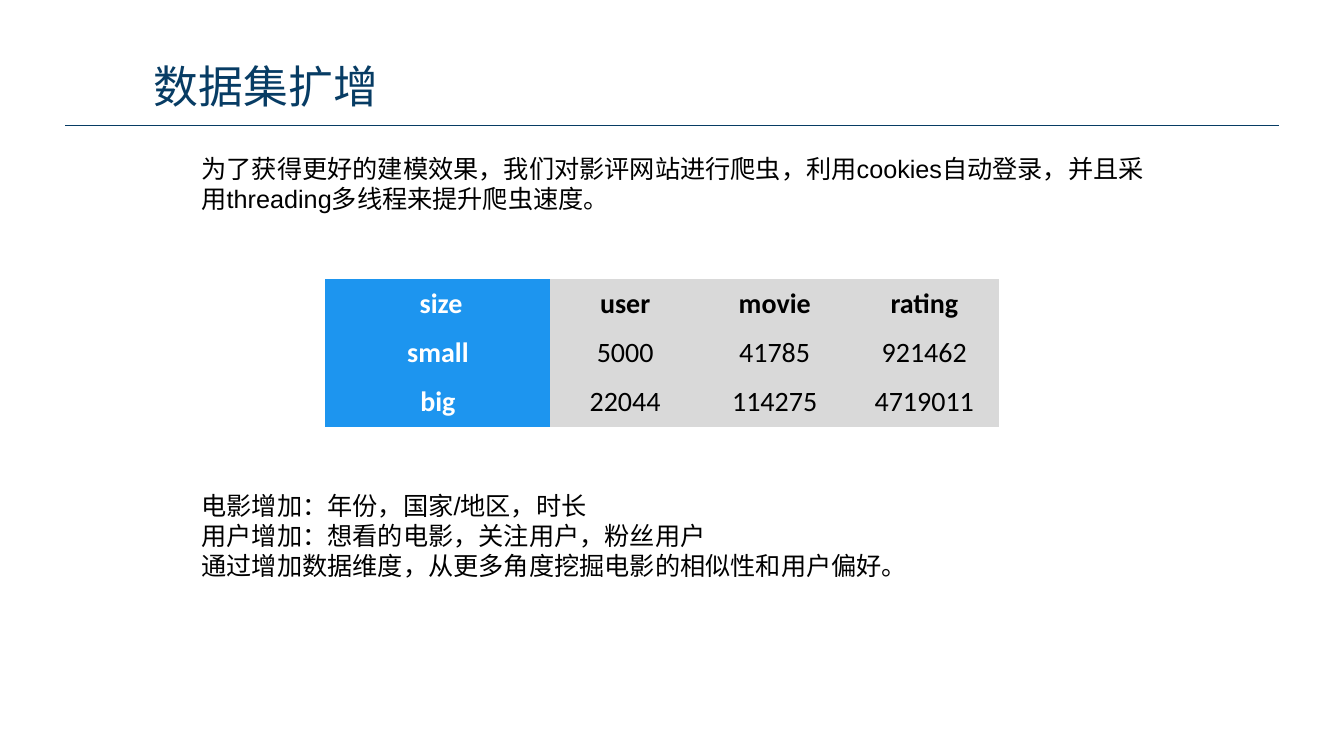
"""Build the slide on enlarging the data set."""
from lxml import etree
from pptx import Presentation
from pptx import util as u
from pptx.dml.color import RGBColor
from pptx.enum import shapes, text
from pptx.oxml.ns import qn

HUES = {"navy": "073C64", "blue": "1D95EF", "gray": "D9D9D9",
        "black": "000000", "white": "FFFFFF"}
PLAIN = "{2D5ABB26-0587-4C30-8999-92F81FD0307C}"


def add_run(para, words, face, size, hue, bold=False):
    run = para.add_run()
    run.text = words
    run.font.name = face
    run.font.size = u.Pt(size)
    run.font.bold = bold
    run.font.color.rgb = RGBColor.from_string(HUES[hue])


prs = Presentation()
prs.slide_width, prs.slide_height = u.Cm(33.87), u.Cm(19.05)
slide = prs.slides.add_slide(prs.slide_layouts[6])

rule = slide.shapes.add_connector(
    shapes.MSO_CONNECTOR.STRAIGHT, u.Cm(1.65), u.Cm(3.15), u.Cm(32.23), u.Cm(3.15))
rule.line.color.rgb = RGBColor.from_string(HUES["navy"])
rule.line.width = u.Pt(0.5)
etree.SubElement(rule._element.spPr, qn("a:effectLst"))

boxes = [
    ((3.63, 1.35, 15.57, 1.63), "Noto Sans CJK JP", 32, "navy", ["数据集扩增"]),
    ((4.83, 3.73, 24.69, 2.57), "Arial", 18, "black", [
        "为了获得更好的建模效果，我们对影评网站进行爬虫，利用cookies自动登录，"
        "并且采用threading多线程来提升爬虫速度。"]),
    ((4.83, 12.22, 25.76, 2.57), "Arial", 18, "black", [
        "电影增加：年份，国家/地区，时长",
        "用户增加：想看的电影，关注用户，粉丝用户",
        "通过增加数据维度，从更多角度挖掘电影的相似性和用户偏好。"]),
]
for place, face, size, hue, lines in boxes:
    frame = slide.shapes.add_textbox(*map(u.Cm, place)).text_frame
    frame.word_wrap = True
    for i, line in enumerate(lines):
        para = frame.add_paragraph() if i else frame.paragraphs[0]
        add_run(para, line, face, size, hue)

rows = [
    [" size", "user", "movie", "rating"],
    ["small", "5000", "41785", "921462"],
    ["big", "22044", "114275", "4719011"],
]
table = slide.shapes.add_table(
    3, 4, u.Cm(8.2), u.Cm(7.04), u.Cm(16.98), u.Cm(3.72)).table
table.first_row = table.horz_banding = False
table._tbl.tblPr.find(qn("a:tableStyleId")).text = PLAIN
for col, width in zip(table.columns, [5.67] + [3.77] * 3):
    col.width = u.Cm(width)
for r, row in enumerate(rows):
    table.rows[r].height = u.Cm(1.24)
    for c, words in enumerate(row):
        cell = table.cell(r, c)
        cell.fill.solid()
        cell.fill.fore_color.rgb = RGBColor.from_string(HUES["gray" if c else "blue"])
        cell.vertical_anchor = text.MSO_ANCHOR.MIDDLE
        cell.margin_left = cell.margin_right = u.Cm(0.18)
        cell.margin_top = cell.margin_bottom = u.Cm(0)
        para = cell.text_frame.paragraphs[0]
        para.alignment = text.PP_ALIGN.CENTER
        add_run(para, words, "Calibri", 20, "black" if c else "white", r == 0 or c == 0)

prs.save("out.pptx")
